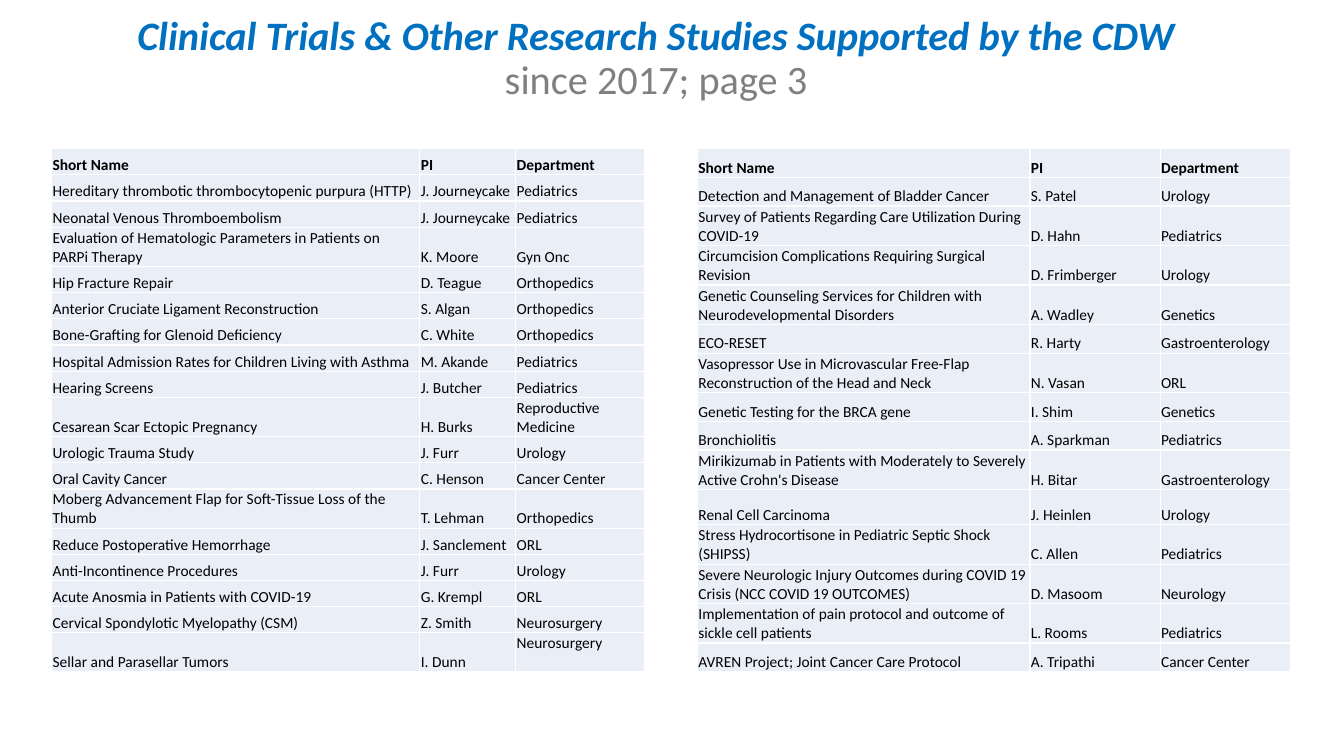
from lxml.etree import SubElement
from pptx import Presentation
from pptx.dml.color import RGBColor
from pptx.enum.text import MSO_ANCHOR as ANCHOR, MSO_AUTO_SIZE as AUTO, PP_ALIGN as ALIGN
from pptx.oxml.ns import qn
from pptx.util import Pt

TITLE = [
    ("Clinical Trials & Other Research Studies Supported by the CDW", "0070C0", True),
    ("since 2017; page 3", "808080", False),
]
HEADER = ("Short Name", "PI", "Department")
LEFT_STUDIES = [
    ("Hereditary thrombotic thrombocytopenic purpura (HTTP)", "J. Journeycake", "Pediatrics"),
    ("Neonatal Venous Thromboembolism", "J. Journeycake", "Pediatrics"),
    ("Evaluation of Hematologic Parameters in Patients on PARPi Therapy", "K. Moore", "Gyn Onc"),
    ("Hip Fracture Repair", "D. Teague", "Orthopedics"),
    ("Anterior Cruciate Ligament Reconstruction", "S. Algan", "Orthopedics"),
    ("Bone-Grafting for Glenoid Deficiency", "C. White", "Orthopedics"),
    ("Hospital Admission Rates for Children Living with Asthma", "M. Akande", "Pediatrics"),
    ("Hearing Screens", "J. Butcher", "Pediatrics"),
    ("Cesarean Scar Ectopic Pregnancy", "H. Burks", "Reproductive Medicine"),
    ("Urologic Trauma Study", "J. Furr", "Urology"),
    ("Oral Cavity Cancer", "C. Henson", "Cancer Center"),
    ("Moberg Advancement Flap for Soft-Tissue Loss of the Thumb", "T. Lehman", "Orthopedics"),
    ("Reduce Postoperative Hemorrhage", "J. Sanclement", "ORL"),
    ("Anti-Incontinence Procedures", "J. Furr", "Urology"),
    ("Acute Anosmia in Patients with COVID-19", "G. Krempl", "ORL"),
    ("Cervical Spondylotic Myelopathy (CSM)", "Z. Smith", "Neurosurgery"),
    ("Sellar and Parasellar Tumors", "I. Dunn", "Neurosurgery"),
]
RIGHT_STUDIES = [
    ("Detection and Management of Bladder Cancer", "S. Patel", "Urology"),
    ("Survey of Patients Regarding Care Utilization During COVID-19", "D. Hahn", "Pediatrics"),
    ("Circumcision Complications Requiring Surgical Revision", "D. Frimberger", "Urology"),
    ("Genetic Counseling Services for Children with Neurodevelopmental Disorders", "A. Wadley", "Genetics"),
    ("ECO-RESET", "R. Harty", "Gastroenterology"),
    ("Vasopressor Use in Microvascular Free-Flap Reconstruction of the Head and Neck", "N. Vasan", "ORL"),
    ("Genetic Testing for the BRCA gene", "I. Shim", "Genetics"),
    ("Bronchiolitis", "A. Sparkman", "Pediatrics"),
    ("Mirikizumab in Patients with Moderately to Severely Active Crohn's Disease", "H. Bitar", "Gastroenterology"),
    ("Renal Cell Carcinoma", "J. Heinlen", "Urology"),
    ("Stress Hydrocortisone in Pediatric Septic Shock (SHIPSS)", "C. Allen", "Pediatrics"),
    ("Severe Neurologic Injury Outcomes during COVID 19 Crisis (NCC COVID 19 OUTCOMES)", "D. Masoom", "Neurology"),
    ("Implementation of pain protocol and outcome of sickle cell patients", "L. Rooms", "Pediatrics"),
    ("AVREN Project; Joint Cancer Care Protocol", "A. Tripathi", "Cancer Center"),
]
TABLES = [
    {"left": 36.9, "widths": (263, 68.5, 92), "row": 18.72,
     "tall": dict.fromkeys((3, 9, 12, 17), 28), "studies": LEFT_STUDIES},
    {"left": 498.2, "widths": (237.5, 93, 93), "row": 20.5,
     "tall": {**dict.fromkeys((2, 3, 4, 6, 9, 11, 12, 13), 28.2), 10: 25.2},
     "studies": RIGHT_STUDIES},
]
TABLE_TOP = 106.2
TOP_CELLS = {("Sellar and Parasellar Tumors", "Neurosurgery")}


def rgb(value):
    return RGBColor.from_string(value)


def style(r, size, color, bold, italic=False):
    r.font.name = "Calibri"
    r.font.size = Pt(size)
    r.font.color.rgb = rgb(color)
    r.font.bold = bold
    r.font.italic = italic


def add_borders(cell, color):
    props = cell._tc.get_or_add_tcPr()
    for side in ("a:lnL", "a:lnR", "a:lnT", "a:lnB"):
        line = SubElement(props, qn(side), w=str(Pt(1)))
        fill = SubElement(line, qn("a:solidFill"))
        SubElement(fill, qn("a:srgbClr"), val=color)


def fill_cell(cell, text, bold, anchor):
    add_borders(cell, "FFFFFF")
    cell.fill.solid()
    cell.fill.fore_color.rgb = rgb("EAEFF7")
    cell.margin_left = cell.margin_top = cell.margin_right = Pt(0.7)
    cell.margin_bottom = 0
    cell.vertical_anchor = anchor
    cell.text_frame.text = text
    style(cell.text_frame.paragraphs[0].runs[0], 11, "000000", bold)


def add_studies(s, spec):
    rows = [HEADER] + spec["studies"]
    heights = [spec["tall"].get(i, spec["row"]) for i in range(len(rows))]
    table = s.shapes.add_table(
        len(rows), len(HEADER), Pt(spec["left"]), Pt(TABLE_TOP),
        Pt(sum(spec["widths"])), Pt(sum(heights))).table
    table.horz_banding = table.first_row = False
    for col, width in zip(table.columns, spec["widths"]):
        col.width = Pt(width)
    for i, (values, height) in enumerate(zip(rows, heights)):
        table.rows[i].height = Pt(height)
        for j, text in enumerate(values):
            at_top = (values[0], text) in TOP_CELLS
            fill_cell(table.cell(i, j), text, i == 0, ANCHOR.TOP if at_top else ANCHOR.BOTTOM)


prs = Presentation()
prs.slide_width, prs.slide_height = Pt(960), Pt(540)
s = prs.slides.add_slide(prs.slide_layouts[5])

sp = s.shapes.title
sp.left, sp.top, sp.width, sp.height = Pt(54.7), Pt(10.8), Pt(828), Pt(63.4)
tf = sp.text_frame
tf.word_wrap = True
tf.auto_size = AUTO.NONE
tf.vertical_anchor = ANCHOR.MIDDLE
p = tf.paragraphs[0]
p.text = "\v".join(text for text, _, _ in TITLE)
p.alignment = ALIGN.CENTER
p.line_spacing = 0.9
for r, (_, color, strong) in zip(p.runs, TITLE):
    style(r, 28.8, color, strong, strong)

for spec in TABLES:
    add_studies(s, spec)

prs.save("out.pptx")
